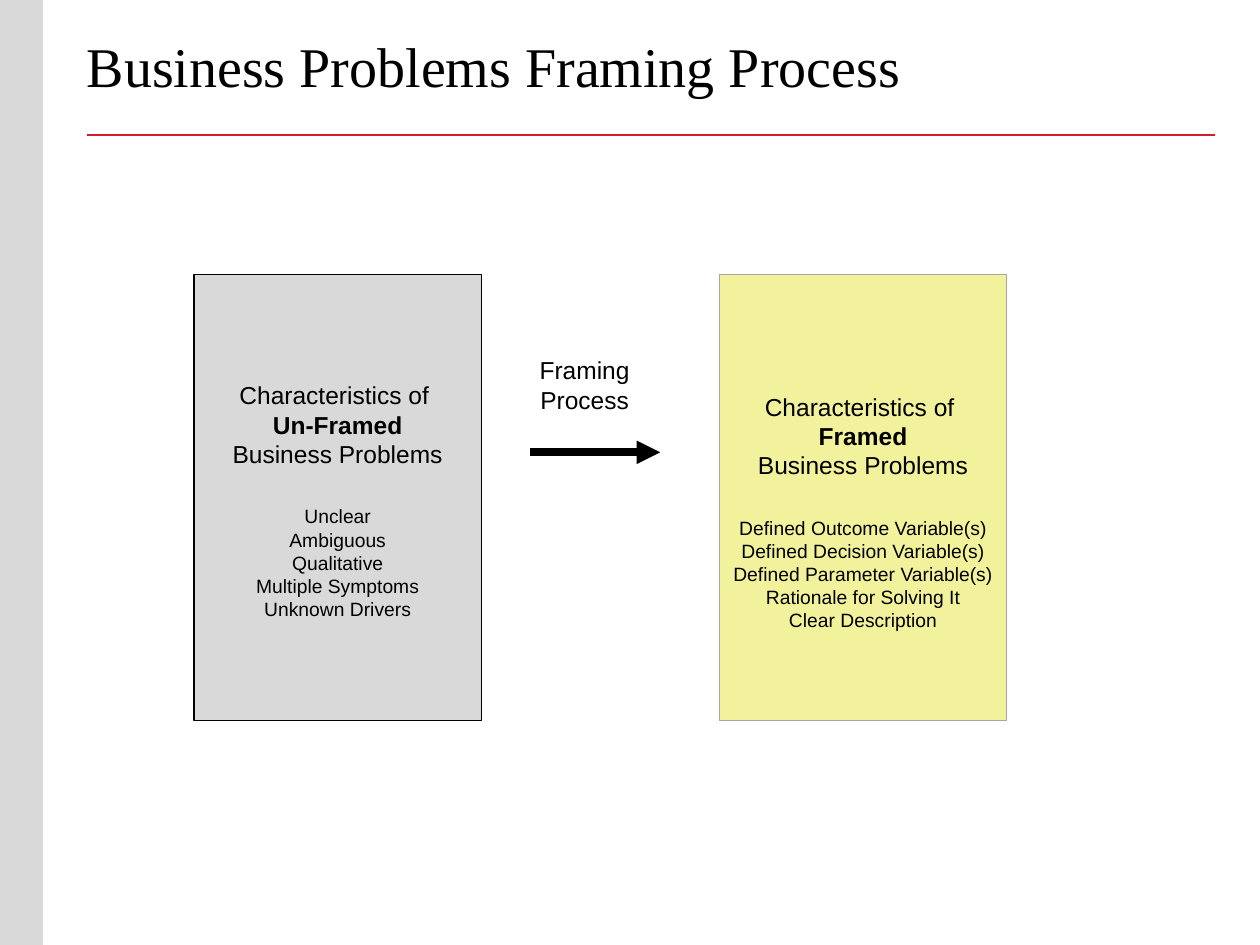
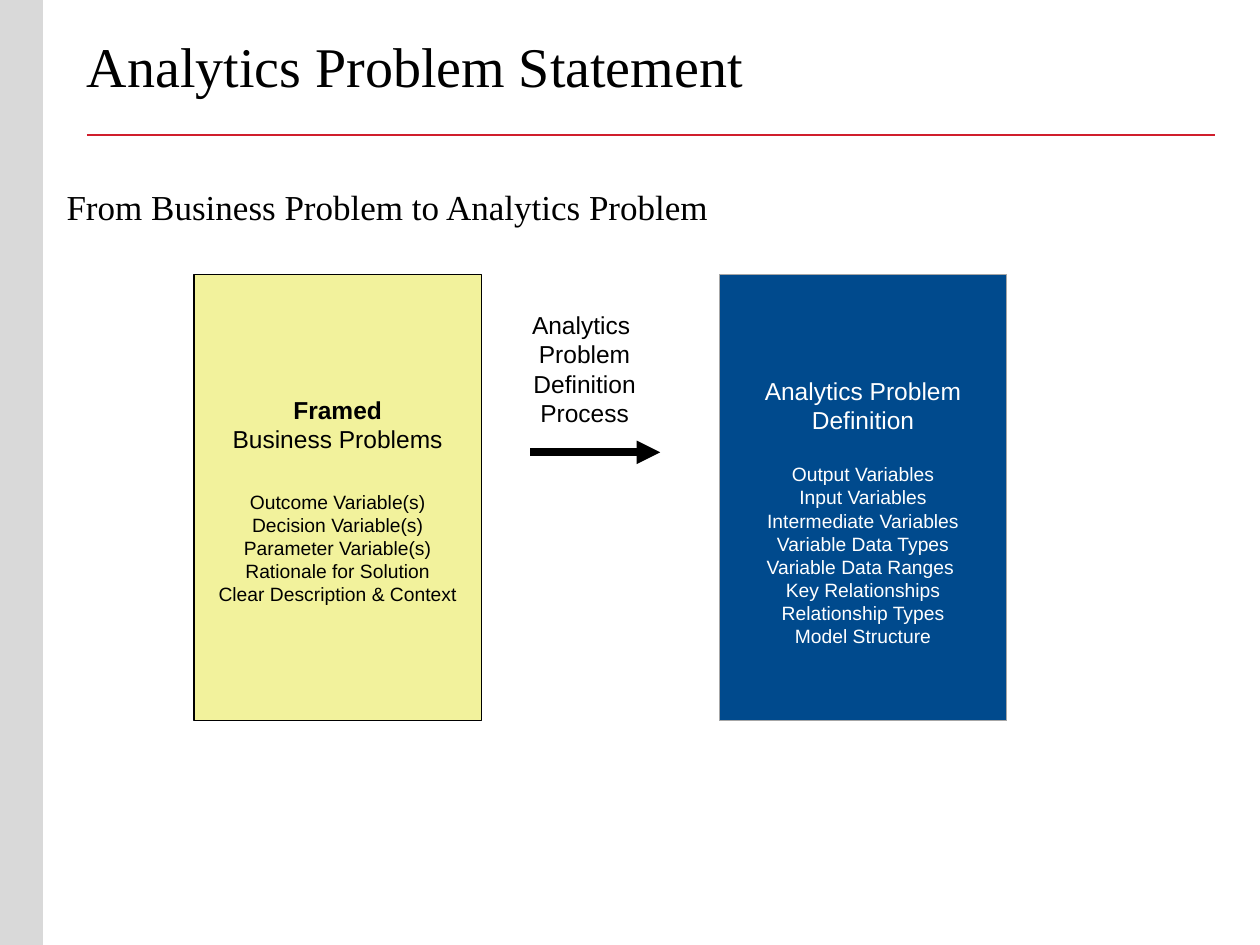
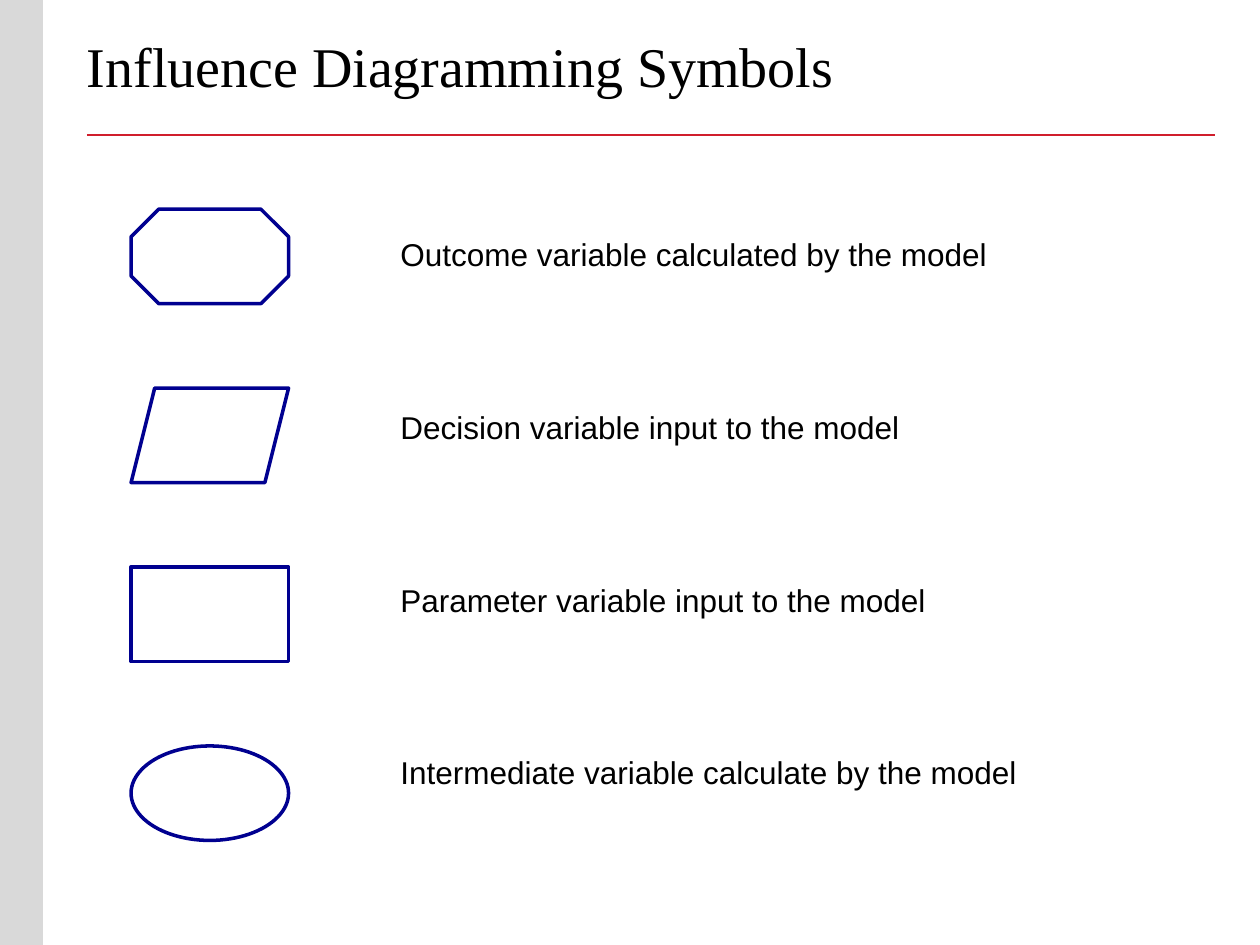
from lxml.etree import SubElement
from pptx import Presentation
from pptx.dml.color import RGBColor
from pptx.enum.shapes import MSO_CONNECTOR, MSO_SHAPE
from pptx.enum.text import MSO_ANCHOR, MSO_AUTO_SIZE, PP_ALIGN
from pptx.oxml.ns import qn
from pptx.util import Inches, Pt

BLACK = RGBColor(0x00, 0x00, 0x00)
WHITE = RGBColor(0xFF, 0xFF, 0xFF)
LIGHT_GRAY = RGBColor(0xD9, 0xD9, 0xD9)
MID_GRAY = RGBColor(0xA6, 0xA6, 0xA6)
RED = RGBColor(0xD0, 0x1E, 0x2C)
YELLOW = RGBColor(0xF2, 0xF2, 0x9C)
BLUE = RGBColor(0x00, 0x4A, 0x8D)
NAVY = RGBColor(0x00, 0x00, 0x90)

SERIF = "Times New Roman"
SANS = "Arial"
LEFT_CARD, RIGHT_CARD = 1.54, 5.71


class ProblemDeck:
    """Holds the deck style and the current page, and draws each kind of element."""

    def __init__(self):
        self.deck = Presentation()
        self.deck.slide_width = Inches(10)
        self.deck.slide_height = Inches(7.5)
        self.page = None

    def add_page(self, title):
        self.page = self.deck.slides.add_slide(self.deck.slide_layouts[6])
        self.shape(MSO_SHAPE.RECTANGLE, 0, 0, 0.34, 7.5, fill=LIGHT_GRAY)
        self.line(0.69, 9.64, 1.07, RED, 1.25)
        self.heading(title, 0.59, 0.13, 9.17, 1.25, 32, inset=0.12)

    def shape(self, kind, left, top, width, height, fill=None, outline=None, weight=0.75):
        shape = self.page.shapes.add_shape(
            kind, Inches(left), Inches(top), Inches(width), Inches(height))
        shape.shadow.inherit = False
        if fill is None:
            shape.fill.background()
        else:
            shape.fill.solid()
            shape.fill.fore_color.rgb = fill
        if outline is None:
            shape.line.fill.background()
        else:
            shape.line.color.rgb = outline
            shape.line.width = Pt(weight)
        return shape

    def line(self, start, end, top, color, weight):
        line = self.page.shapes.add_connector(
            MSO_CONNECTOR.STRAIGHT, Inches(start), Inches(top), Inches(end), Inches(top))
        line.line.color.rgb = color
        line.line.width = Pt(weight)
        SubElement(line._element.spPr, qn("a:effectLst"))
        return line

    def arrow(self):
        arrow = self.line(4.21, 5.24, 3.59, BLACK, 4.5)
        SubElement(arrow._element.spPr.find(qn("a:ln")), qn("a:tailEnd"), type="triangle")

    def text_box(self, left, top, width, height):
        return self.page.shapes.add_textbox(
            Inches(left), Inches(top), Inches(width), Inches(height))

    def add_lines(self, frame, lines, size, font=SANS, color=BLACK, align=PP_ALIGN.LEFT,
                  bold=""):
        """Append one paragraph per line and return the first of them."""
        first = None
        for text in lines:
            unused = not frame.paragraphs[0].runs
            para = frame.paragraphs[0] if unused else frame.add_paragraph()
            para.alignment = align
            span = para.add_run()
            span.text = text
            span.font.name = font
            span.font.size = Pt(size)
            span.font.bold = text == bold
            span.font.color.rgb = color
            first = first or para
        return first

    def heading(self, text, left, top, width, height, size, inset):
        frame = self.text_box(left, top, width, height).text_frame
        frame.word_wrap = True
        frame.margin_top = Inches(inset)
        self.add_lines(frame, [text], size, SERIF)

    def label(self, lines, left, top, width, height, size, align=PP_ALIGN.LEFT):
        frame = self.text_box(left, top, width, height).text_frame
        frame.word_wrap = False
        frame.auto_size = MSO_AUTO_SIZE.SHAPE_TO_FIT_TEXT
        self.add_lines(frame, lines, size, align=align)

    def card(self, left, fill, outline, heading, items, bold="", color=BLACK,
             bottom=0.05, gap=20.7):
        card = self.shape(MSO_SHAPE.RECTANGLE, left, 2.18, 2.28, 3.54, fill, outline)
        frame = card.text_frame
        frame.word_wrap = True
        frame.vertical_anchor = MSO_ANCHOR.MIDDLE
        frame.margin_top = Inches(0.27)
        frame.margin_bottom = Inches(bottom)
        self.add_lines(frame, heading, 14, color=color, align=PP_ALIGN.CENTER, bold=bold)
        first_item = self.add_lines(frame, items, 11, color=color, align=PP_ALIGN.CENTER)
        first_item.space_before = Pt(gap)


def add_framing_process(show):
    show.add_page("Business Problems Framing Process")
    show.card(LEFT_CARD, LIGHT_GRAY, BLACK,
              ["Characteristics of ", "Un-Framed", "Business Problems"],
              ["Unclear", "Ambiguous", "Qualitative", "Multiple Symptoms", "Unknown Drivers"],
              bold="Un-Framed", bottom=0.23)
    show.card(RIGHT_CARD, YELLOW, MID_GRAY,
              ["Characteristics of ", "Framed", "Business Problems"],
              ["Defined Outcome Variable(s)", "Defined Decision Variable(s)",
               "Defined Parameter Variable(s)", "Rationale for Solving It",
               "Clear Description"],
              bold="Framed")
    show.arrow()
    show.label(["Framing", "Process"], 4.18, 2.77, 0.92, 0.57, 14, PP_ALIGN.CENTER)


def add_problem_statement(show):
    show.add_page("Analytics Problem Statement")
    show.heading("From Business Problem to Analytics Problem",
                 0.43, 1.39, 9.17, 4.75, 20, inset=0.08)
    show.card(LEFT_CARD, YELLOW, BLACK,
              ["Framed", "Business Problems"],
              ["Outcome Variable(s)", "Decision Variable(s)", "Parameter Variable(s)",
               "Rationale for Solution", "Clear Description & Context"],
              bold="Framed", bottom=0.23)
    show.card(RIGHT_CARD, BLUE, MID_GRAY,
              ["Analytics Problem", "Definition"],
              ["Output Variables", "Input Variables", "Intermediate Variables",
               "Variable Data Types", "Variable Data Ranges ", "Key Relationships",
               "Relationship Types", "Model Structure"],
              color=WHITE, gap=16.1)
    show.arrow()
    show.label(["Analytics ", "Problem", "Definition", "Process"],
               4.12, 2.41, 1.04, 1.04, 14, PP_ALIGN.CENTER)


def add_diagram_symbols(show):
    show.add_page("Influence Diagramming Symbols")
    symbols = [
        (MSO_SHAPE.OCTAGON, "Outcome variable calculated by the model", 4.9),
        (MSO_SHAPE.PARALLELOGRAM, "Decision variable input to the model", 4.27),
        (MSO_SHAPE.RECTANGLE, "Parameter variable input to the model", 4.41),
        (MSO_SHAPE.OVAL, "Intermediate variable calculate by the model", 5.14),
    ]
    for row, (kind, meaning, width) in enumerate(symbols):
        show.shape(kind, 1.04, 1.66 + 1.42 * row, 1.25, 0.75, outline=NAVY, weight=2)
        show.label([meaning], 3.08, 1.82 + 1.37 * row, width, 0.4, 18)


def main():
    show = ProblemDeck()
    add_framing_process(show)
    add_problem_statement(show)
    add_diagram_symbols(show)
    show.deck.save("out.pptx")


if __name__ == "__main__":
    main()
